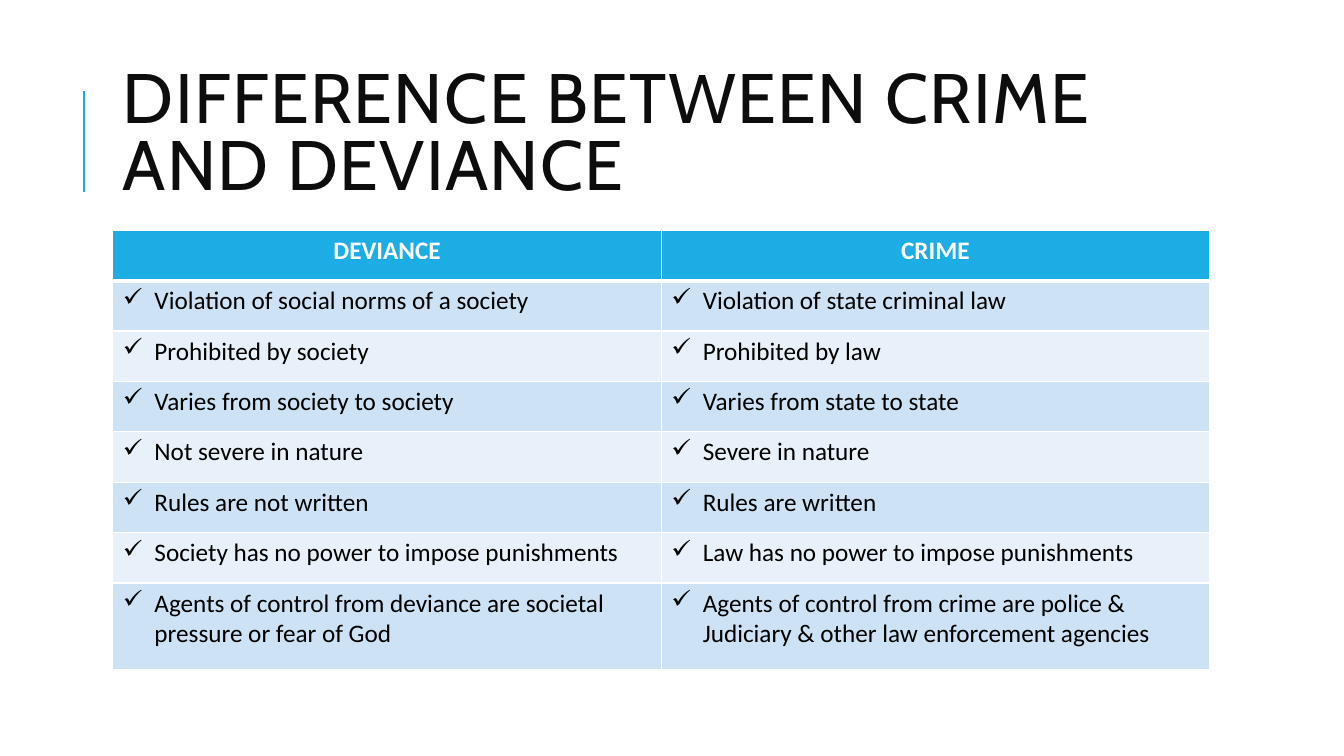
from typing import NamedTuple

from pptx import Presentation
from pptx.dml.color import RGBColor
from pptx.enum.shapes import MSO_CONNECTOR
from pptx.enum.text import MSO_ANCHOR, PP_ALIGN
from pptx.oxml.ns import qn
from pptx.util import Pt
from lxml.etree import SubElement

ACCENT = RGBColor(0x1C, 0xAD, 0xE4)
TITLE_INK = RGBColor(0x0D, 0x0D, 0x0D)
BLACK = RGBColor(0, 0, 0)
WHITE = RGBColor(0xFF, 0xFF, 0xFF)
BAND_DARK = RGBColor(0xCD, 0xE3, 0xF5)
BAND_LIGHT = RGBColor(0xE8, 0xF1, 0xFA)

LEFT = 80.64
ROW_HEIGHT = 36
LAST_ROW_HEIGHT = 62
COLUMN_WIDTH = 391.68
BULLET_INDENT = 22.5

TITLE_FONT = {"name": "Cabin", "size": Pt(50)}
HEADER_FONT = {"name": "Calibri", "size": Pt(18), "bold": True}
BODY_FONT = HEADER_FONT | {"bold": False}


class Contrast(NamedTuple):
    deviance: str
    crime: str


HEADER = Contrast("DEVIANCE", "CRIME")
CONTRASTS = [
    Contrast("Violation of social norms of a society", "Violation of state criminal law"),
    Contrast("Prohibited by society", "Prohibited by law"),
    Contrast("Varies from society to society", "Varies from state to state"),
    Contrast("Not severe in nature", "Severe in nature"),
    Contrast("Rules are not written", "Rules are written"),
    Contrast("Society has no power to impose punishments",
             "Law has no power to impose punishments"),
    Contrast("Agents of control from deviance are societal pressure or fear of God",
             "Agents of control from crime are police & Judiciary & other law "
             "enforcement agencies"),
]


def write_text(p, text: str, font: dict, color: RGBColor):
    r = p.add_run()
    r.text = text
    for name, value in font.items():
        setattr(r.font, name, value)
    r.font.color.rgb = color
    return r


def add_title(s) -> None:
    line = s.shapes.add_connector(MSO_CONNECTOR.STRAIGHT, Pt(60), Pt(136.8), Pt(60), Pt(64.8))
    line.line.color.rgb = ACCENT
    line.line.width = Pt(1.5)
    SubElement(line._element.spPr, qn("a:effectLst"))

    tf = s.shapes.add_textbox(Pt(LEFT), Pt(38.88), Pt(765.36), Pt(118.08)).text_frame
    tf.word_wrap = True
    tf.vertical_anchor = MSO_ANCHOR.MIDDLE
    p = tf.paragraphs[0]
    p.line_spacing = 0.8
    r = write_text(p, "DIFFERENCE BETWEEN CRIME AND DEVIANCE", TITLE_FONT, TITLE_INK)
    r.font._element.set("spc", "100")


def set_borders(cell, top: float, bottom: float) -> None:
    tc_pr = cell._tc.get_or_add_tcPr()
    for side, width in {"L": 1, "R": 1, "T": top, "B": bottom}.items():
        ln = SubElement(tc_pr, qn(f"a:ln{side}"), w=str(Pt(width)))
        fill = SubElement(ln, qn("a:solidFill"))
        SubElement(fill, qn("a:srgbClr"), val=str(WHITE))


def add_check(p) -> None:
    p_pr = p._p.get_or_add_pPr()
    p_pr.set("marL", str(Pt(BULLET_INDENT)))
    p_pr.set("indent", str(-Pt(BULLET_INDENT)))
    SubElement(p_pr, qn("a:buChar"), char="✓")


def fill_cell(cell, text: str, row: int) -> None:
    set_borders(cell, 3 if row == 1 else 1, 3 if row == 0 else 1)
    cell.fill.solid()
    p = cell.text_frame.paragraphs[0]
    if row == 0:
        cell.fill.fore_color.rgb = ACCENT
        p.alignment = PP_ALIGN.CENTER
        write_text(p, text, HEADER_FONT, WHITE)
    else:
        cell.fill.fore_color.rgb = BAND_DARK if row % 2 else BAND_LIGHT
        add_check(p)
        write_text(p, text, BODY_FONT, BLACK)


def add_comparison(s) -> None:
    rows = [HEADER, *CONTRASTS]
    heights = [ROW_HEIGHT] * len(CONTRASTS) + [LAST_ROW_HEIGHT]
    table = s.shapes.add_table(len(rows), 2, Pt(LEFT), Pt(164.5),
                               Pt(2 * COLUMN_WIDTH), Pt(sum(heights))).table
    for column in table.columns:
        column.width = Pt(COLUMN_WIDTH)
    for i, (contrast, height) in enumerate(zip(rows, heights)):
        table.rows[i].height = Pt(height)
        for j, text in enumerate(contrast):
            fill_cell(table.cell(i, j), text, i)


def main() -> None:
    prs = Presentation()
    prs.slide_width, prs.slide_height = Pt(960), Pt(540)
    s = prs.slides.add_slide(prs.slide_layouts[6])
    add_title(s)
    add_comparison(s)
    prs.save("out.pptx")


if __name__ == "__main__":
    main()
